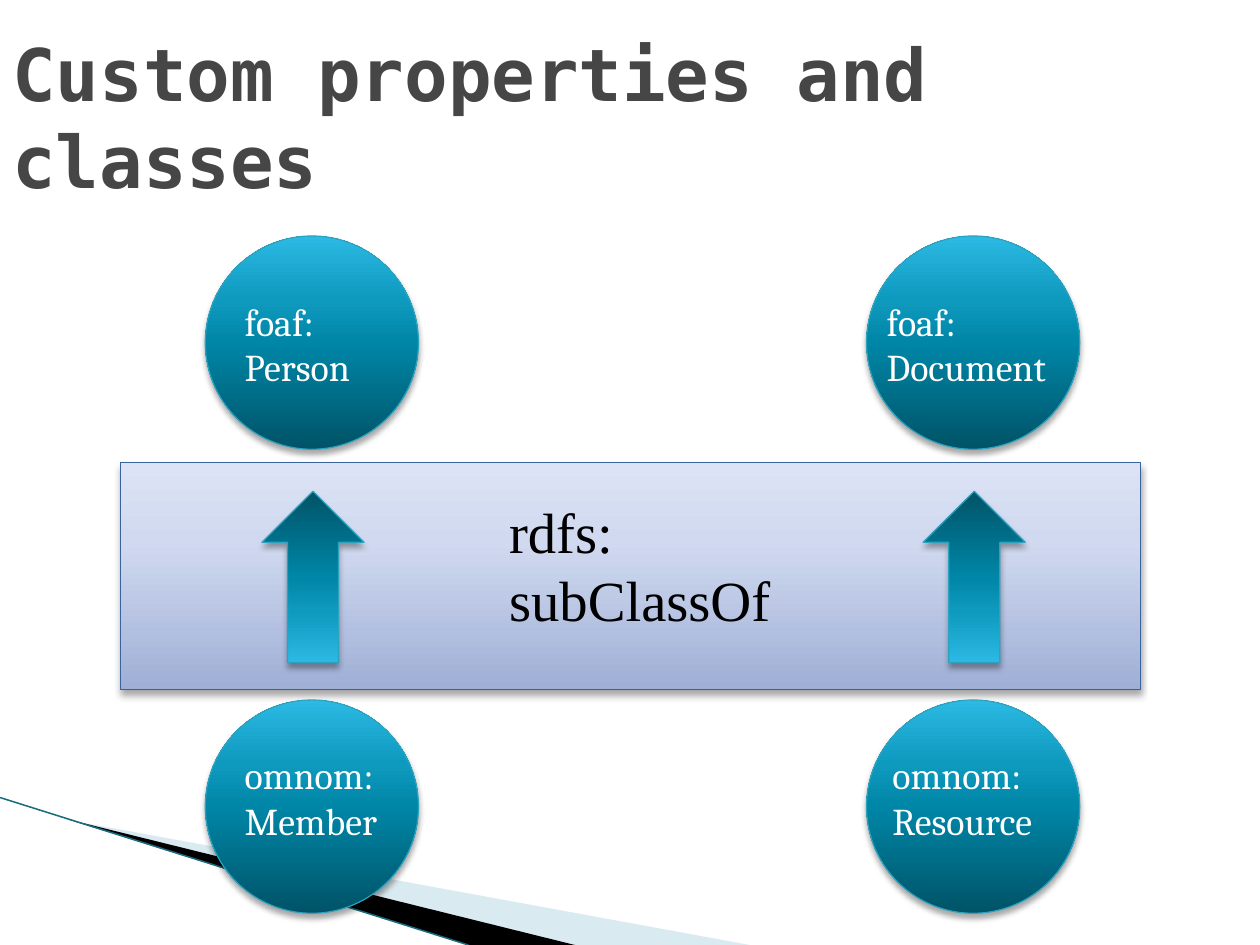
from lxml import etree
from pptx import Presentation
from pptx.dml.color import RGBColor
from pptx.enum.shapes import MSO_CONNECTOR, MSO_SHAPE
from pptx.enum.text import MSO_ANCHOR, MSO_AUTO_SIZE
from pptx.oxml.ns import qn
from pptx.util import Inches, Pt

RECTANGLE, ELLIPSE, DOWN_ARROW = MSO_SHAPE.RECTANGLE, MSO_SHAPE.OVAL, MSO_SHAPE.DOWN_ARROW
STRAIGHT = MSO_CONNECTOR.STRAIGHT
MIDDLE = MSO_ANCHOR.MIDDLE
GROW = MSO_AUTO_SIZE.SHAPE_TO_FIT_TEXT

WHITE = RGBColor(0xFF, 0xFF, 0xFF)
BLACK = RGBColor(0x00, 0x00, 0x00)
TITLE_GREY = RGBColor(0x46, 0x46, 0x46)
TEAL_EDGE = RGBColor(0x2D, 0xA2, 0xBF)
BAND_EDGE = RGBColor(0x39, 0x63, 0x9D)
PALE_BLUE = RGBColor(0xA0, 0xCB, 0xDC)
SWOOSH_EDGE = RGBColor(0x1A, 0x6B, 0x80)
TEAL_STOPS = [(0, "005367"), (50, "0086A7"), (70, "0E9ABE"), (100, "2CB9E3")]
BAND_STOPS = [(0, "9FAFD6"), (65, "D0D9EF"), (100, "DCE3F6")]

SLIDE_WIDTH, SLIDE_HEIGHT = 11.11, 8.33
TITLE = "Custom properties and classes"
RELATION = ["rdfs:", "subClassOf"]
COLUMN_LEFTS = [1.81, 7.64]
CIRCLE_SIZE = 1.88
# column, circle top, label lines, label box (left, top, width, height)
CLASSES = [
    (0, 2.08, ["foaf:", "Person"], (2.06, 2.58, 1.23, 0.91)),
    (0, 6.17, ["omnom:", "Member"], (2.06, 6.58, 1.46, 0.91)),
    (1, 2.08, ["foaf:", "Document"], (7.72, 2.58, 1.76, 0.91)),
    (1, 6.17, ["omnom:", "Resource"], (7.77, 6.58, 1.55, 1.31)),
]
BAND_BOX = (1.06, 4.08, 9, 2)
RELATION_BOX = (4.39, 4.33, 2.57, 1.31)
ARROW_OFFSET, ARROW_TOP, ARROW_WIDTH, ARROW_HEIGHT = 0.5, 4.33, 0.9, 1.51
SWOOSHES = [
    ([(0.61, 7.23), (6.61, 8.33), (5.06, 8.33)], PALE_BLUE, 40),
    ([(0.59, 7.22), (5.07, 8.33), (4.13, 8.33)], BLACK, 100),
]
SWOOSH_LINE = [(0, 7.03), (4.13, 8.33)]


def add_color(parent, value, opacity=100):
    color = etree.SubElement(parent, qn("a:srgbClr"), val=value)
    if opacity < 100:
        etree.SubElement(color, qn("a:alpha"), val=str(opacity * 1000))


def add_glossy(shapes, kind, box, stops, edge):
    """Add a shape with an upward gradient, a thin edge and a soft shadow."""
    shape = shapes.add_shape(kind, *map(Inches, box))
    shape.fill.gradient()
    shape.fill.gradient_angle = 90
    properties = shape.element.spPr
    stop_list = properties.find(".//" + qn("a:gsLst"))
    for stop in list(stop_list):
        stop_list.remove(stop)
    for position, value in stops:
        stop = etree.SubElement(stop_list, qn("a:gs"), pos=str(position * 1000))
        add_color(stop, value)
    shape.line.color.rgb = edge
    shape.line.width = Pt(0.75)
    shape.shadow.inherit = False
    shadow = etree.SubElement(
        properties.find(qn("a:effectLst")), qn("a:outerShdw"),
        blurRad=str(Pt(4)), dist=str(Pt(3)), dir="5400000", rotWithShape="0")
    add_color(shadow, "000000", 35)
    return shape


def add_text(shapes, box, lines, font_name, size, color, bold=False):
    text_box = shapes.add_textbox(*map(Inches, box))
    frame = text_box.text_frame
    frame.text = "\n".join(lines)
    frame.word_wrap = False
    frame.auto_size = GROW
    for para in frame.paragraphs:
        for span in para.runs:
            span.font.name = font_name
            span.font.size = Pt(size)
            span.font.color.rgb = color
            span.font.bold = bold
    return frame


def add_swoosh(shapes, points, color, opacity):
    builder = shapes.build_freeform(*map(Inches, points[0]), scale=1.0)
    builder.add_line_segments([tuple(map(Inches, point)) for point in points[1:]])
    swoosh = builder.convert_to_shape()
    swoosh.shadow.inherit = False
    swoosh.line.fill.background()
    swoosh.fill.solid()
    swoosh.fill.fore_color.rgb = color
    if opacity < 100:
        fill_color = swoosh.element.spPr.find(qn("a:solidFill"))[0]
        etree.SubElement(fill_color, qn("a:alpha"), val=str(opacity * 1000))


deck = Presentation()
deck.slide_width = Inches(SLIDE_WIDTH)
deck.slide_height = Inches(SLIDE_HEIGHT)
page = deck.slides.add_slide(deck.slide_layouts[6])
shapes = page.shapes

for points, color, opacity in SWOOSHES:
    add_swoosh(shapes, points, color, opacity)
start, end = SWOOSH_LINE
edge_line = shapes.add_connector(STRAIGHT, *map(Inches, start + end))
edge_line.line.color.rgb = SWOOSH_EDGE
edge_line.line.width = Pt(0.95)
etree.SubElement(edge_line.element.spPr, qn("a:effectLst"))

add_glossy(shapes, RECTANGLE, BAND_BOX, BAND_STOPS, BAND_EDGE)

title = add_text(shapes, (0, 0.33, 10, 1.39), [TITLE], "DejaVu Sans Mono", 46, TITLE_GREY, True)
title.auto_size = MSO_AUTO_SIZE.NONE
title.word_wrap = True
title.vertical_anchor = MIDDLE
title.margin_left = title.margin_right = Inches(0.11)
title.margin_top = title.margin_bottom = Inches(0.06)

for column, top, lines, label_box in CLASSES:
    group = shapes.add_group_shape()
    circle_box = (COLUMN_LEFTS[column], top, CIRCLE_SIZE, CIRCLE_SIZE)
    add_glossy(group.shapes, ELLIPSE, circle_box, TEAL_STOPS, TEAL_EDGE)
    add_text(group.shapes, label_box, lines, "Cambria", 24, WHITE)

for left in COLUMN_LEFTS:
    arrow_box = (left + ARROW_OFFSET, ARROW_TOP, ARROW_WIDTH, ARROW_HEIGHT)
    arrow = add_glossy(shapes, DOWN_ARROW, arrow_box, TEAL_STOPS, TEAL_EDGE)
    arrow.rotation = 180
add_text(shapes, RELATION_BOX, RELATION, "Times New Roman", 36, BLACK)

deck.save("out.pptx")
